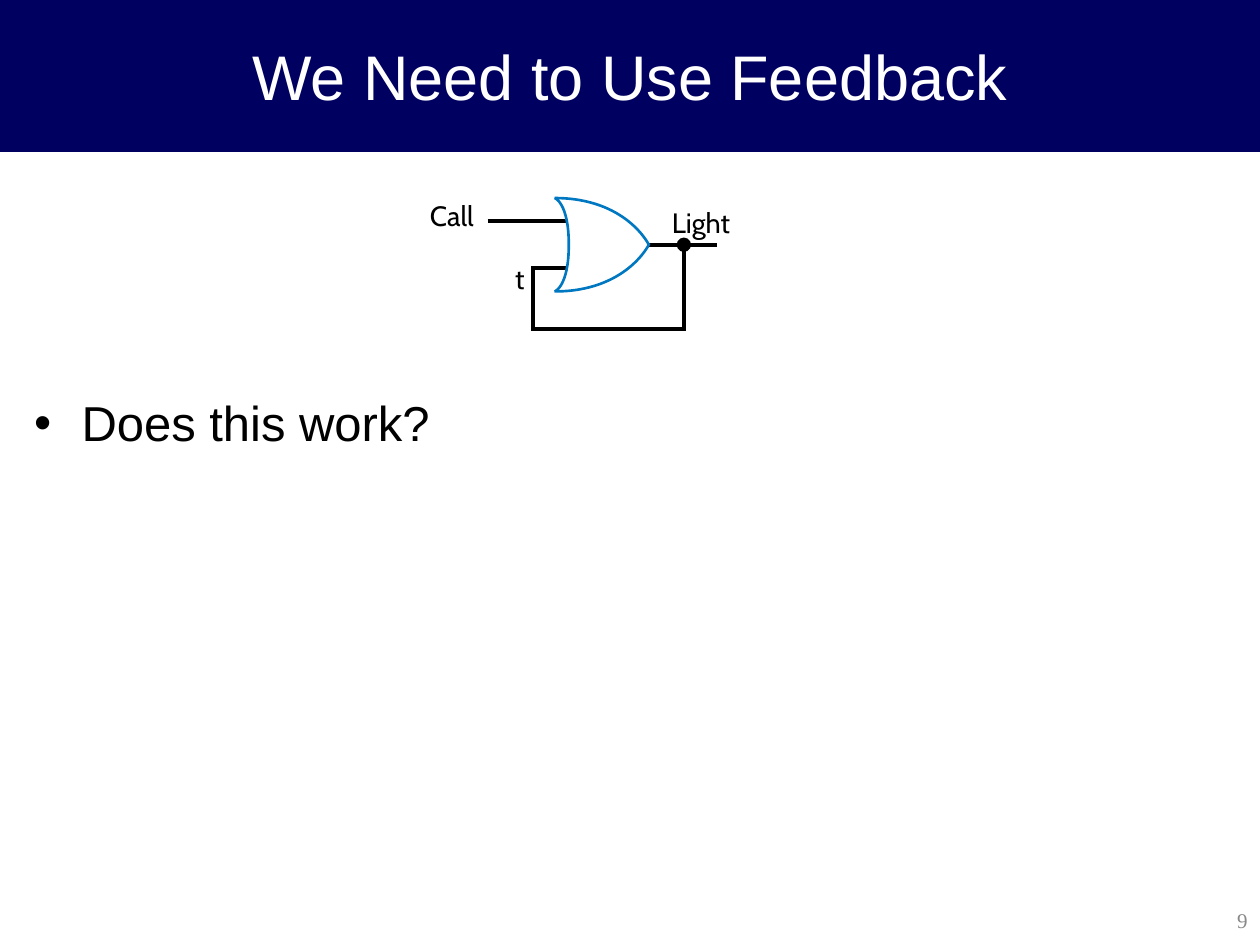
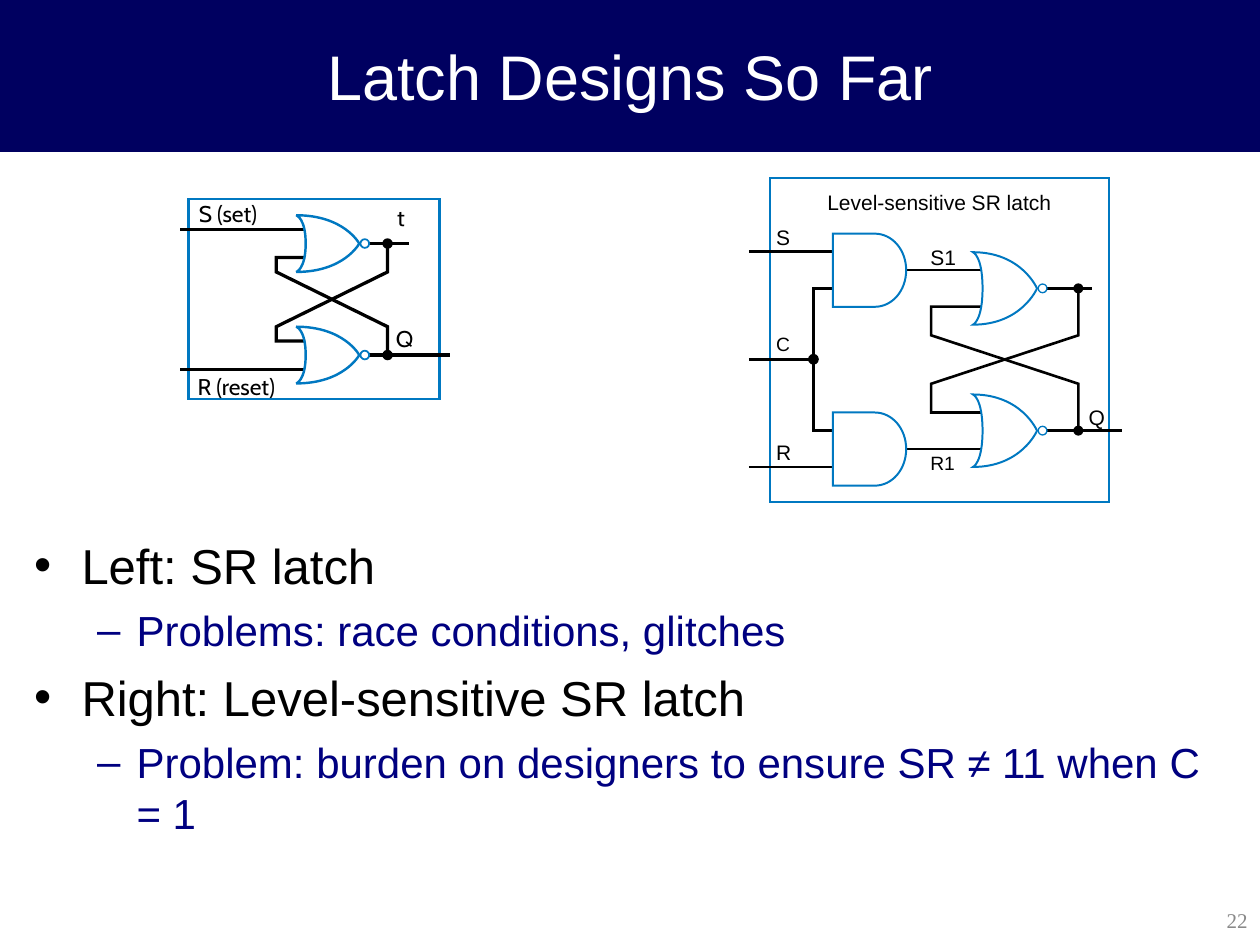
from dataclasses import dataclass

from lxml import etree
from pptx import Presentation
from pptx.dml.color import RGBColor
from pptx.enum.shapes import MSO_CONNECTOR, MSO_SHAPE
from pptx.enum.text import MSO_ANCHOR, MSO_AUTO_SIZE, PP_ALIGN
from pptx.oxml.ns import qn
from pptx.util import Pt

RECTANGLE, OVAL = MSO_SHAPE.RECTANGLE, MSO_SHAPE.OVAL
STRAIGHT = MSO_CONNECTOR.STRAIGHT
MIDDLE = MSO_ANCHOR.MIDDLE
NO_FIT, GROW = MSO_AUTO_SIZE.NONE, MSO_AUTO_SIZE.SHAPE_TO_FIT_TEXT
LEFT, CENTER, RIGHT = PP_ALIGN.LEFT, PP_ALIGN.CENTER, PP_ALIGN.RIGHT
TITLE_ONLY = 5


@dataclass(frozen=True)
class Theme:
    band: str = "000060"
    white: str = "FFFFFF"
    ink: str = "000000"
    navy: str = "000080"
    gate: str = "0078C1"
    grey: str = "898989"
    sans: str = "Arial"
    diagram: str = "Cabin"
    serif: str = "Times New Roman"
    title_size: int = 36
    number_size: int = 12


@dataclass(frozen=True)
class BulletStyle:
    mark: str
    size: int
    color: str
    margin: float
    hang: float
    before: float


@dataclass(frozen=True)
class Latch:
    """Two cross-coupled NOR gates; lengths in points."""
    gate_left: float
    gate_width: float
    gate_height: float
    upper: float          # height of the upper output
    lower: float          # height of the lower output
    feedback_left: float
    node: float           # where the outputs branch
    upper_end: float
    lower_end: float
    stub: float           # gate centre to feedback input
    drop: float           # output to bend
    wire: float
    outline: float
    ring: float           # line of bubbles and nodes
    fill: str | None = None


THEME = Theme()
BULLETS = (
    BulletStyle("•", 28, THEME.ink, 27, 27, 7),
    BulletStyle("–", 24, THEME.navy, 58.5, 22.5, 6),
)
SET_RESET = Latch(169.3, 36, 32.4, 139.2, 202.9, 157.9, 221.5, 233.7, 257,
                  8, 16.2, 1.87, 1.39, 1)
LEVEL = Latch(556, 36.6, 41.4, 164.8, 246.1, 532.1, 616.2, 624.3, 640.9,
              10.4, 26.8, 1.5, 1.13, 0.75, THEME.white)

# Gate outlines in unit coordinates: a start, then segments of one point
# (straight) or three points (curve)
OR_GATE = ((1, 0.5), (
    ((1, 0.5), (0.76, 1), (0, 1)),
    ((0, 1), (0.15, 0.95), (0.15, 0.5)),
    ((0.15, 0.05), (0, 0), (0, 0)),
    ((0.76, 0), (1, 0.5), (1, 0.5)),
))
AND_GATE = ((0, 1), (
    ((0.57, 1),),
    ((0.81, 1), (1, 0.78), (1, 0.5)),
    ((1, 0.22), (0.81, 0), (0.57, 0)),
    ((0, 0),),
))


# Paint and text helpers
def rgb(color):
    return RGBColor.from_string(color)


def paint(shape, fill, line, weight):
    shape.shadow.inherit = False
    if fill:
        shape.fill.solid()
        shape.fill.fore_color.rgb = rgb(fill)
    else:
        shape.fill.background()
    shape.line.color.rgb = rgb(line)
    shape.line.width = Pt(weight)
    miter = etree.SubElement(shape.element.spPr.find(qn("a:ln")), qn("a:miter"))
    miter.set("lim", "800000")


def write(para, text, font, size, color, align=LEFT):
    para.alignment = align
    span = para.add_run()
    span.text = text
    span.font.name = font
    span.font.size = Pt(size)
    span.font.color.rgb = rgb(color)


def add_box(page, left, top, width, height):
    return page.shapes.add_textbox(Pt(left), Pt(top), Pt(width), Pt(height))


def label(page, text, left, top, width, size, font=THEME.diagram):
    frame = add_box(page, left, top, width, size * 1.22).text_frame
    frame.margin_left = frame.margin_right = 0
    frame.margin_top = frame.margin_bottom = 0
    frame.word_wrap = False
    frame.auto_size = GROW
    write(frame.paragraphs[0], text, font, size, THEME.ink)


# Lines and shapes
def preset(page, kind, left, top, width, height, fill, line, weight):
    shape = page.shapes.add_shape(kind, Pt(left), Pt(top), Pt(width), Pt(height))
    paint(shape, fill, line, weight)
    return shape


def dot(page, x, y, size, fill=THEME.ink, line=THEME.ink, weight=1):
    preset(page, OVAL, x - size / 2, y - size / 2, size, size, fill, line, weight)


def wire(page, left, right, y, weight):
    line = page.shapes.add_connector(STRAIGHT, Pt(left), Pt(y), Pt(right), Pt(y))
    line.line.color.rgb = rgb(THEME.ink)
    line.line.width = Pt(weight)
    etree.SubElement(line.element.spPr, qn("a:effectLst"))


def outline(page, points, fill, line, weight, close):
    start, *rest = [(Pt(x), Pt(y)) for x, y in points]
    builder = page.shapes.build_freeform(*start)
    builder.add_line_segments(rest, close=close)
    shape = builder.convert_to_shape()
    paint(shape, fill, line, weight)
    return shape


def bent_wire(page, points, weight):
    outline(page, points, None, THEME.ink, weight, close=False)


def gate(page, kind, left, middle, width, height, fill, weight):
    def place(point):
        return left + width * point[0], middle + height * (point[1] - 0.5)

    start, segments = kind
    anchors = [place(start), *(place(segment[-1]) for segment in segments)]
    shape = outline(page, anchors, fill, THEME.gate, weight, close=True)
    # Turn the straight steps into curves where a segment has control points
    steps = list(shape.element.iter(qn("a:lnTo")))
    for step, segment in zip(steps, segments):
        if len(segment) == 1:
            continue
        curve = etree.Element(qn("a:cubicBezTo"))
        for x, y in map(place, segment):
            point = etree.SubElement(curve, qn("a:pt"))
            point.set("x", str(Pt(x) - shape.left))
            point.set("y", str(Pt(y) - shape.top))
        step.getparent().replace(step, curve)


def nor_latch(page, latch):
    tip = latch.gate_left + latch.gate_width
    bubble = 5
    rows = ((latch.upper, latch.lower, 1, latch.upper_end),
            (latch.lower, latch.upper, -1, latch.lower_end))
    for source, target, way, end in rows:
        # Output and its feedback into the other gate
        wire(page, tip + bubble, end, source, latch.wire)
        bent_wire(page, [
            (latch.node, source),
            (latch.node, source + way * latch.drop),
            (latch.feedback_left, target - way * latch.drop),
            (latch.feedback_left, target - way * latch.stub),
            (latch.gate_left + 0.14 * latch.gate_width, target - way * latch.stub),
        ], latch.wire)
    for source, *_ in rows:
        gate(page, OR_GATE, latch.gate_left, source, latch.gate_width,
             latch.gate_height, latch.fill, latch.outline)
        dot(page, tip + 0.7 + bubble / 2, source, bubble, THEME.white,
            THEME.gate, latch.ring)
        dot(page, latch.node, source, 5, weight=latch.ring)


# Slide parts
def add_layout_band(layout, page):
    band = preset(page, RECTANGLE, 0, 0, 720, 86.4, THEME.band, THEME.band, 0.75)
    layout.placeholders[0].element.addprevious(band.element)


def add_title(page, text):
    title = page.shapes.title
    title.left, title.top, title.width, title.height = Pt(0), Pt(0), Pt(720), Pt(86.4)
    frame = title.text_frame
    frame.vertical_anchor = MIDDLE
    frame.auto_size = NO_FIT
    write(frame.paragraphs[0], text, THEME.sans, THEME.title_size, THEME.white, CENTER)


def add_number(page, number):
    frame = add_box(page, 567.4, 511.2, 152.6, 28.8).text_frame
    frame.word_wrap = True
    frame.vertical_anchor = MIDDLE
    write(frame.paragraphs[0], number, THEME.serif, THEME.number_size,
          THEME.grey, RIGHT)


def add_bullets(page, top, items):
    frame = add_box(page, 12.5, top, 695.5, 511.2 - top).text_frame
    frame.word_wrap = True
    for index, (level, text) in enumerate(items):
        style = BULLETS[level]
        para = frame.add_paragraph() if index else frame.paragraphs[0]
        para.level = level
        para.space_before = Pt(style.before)
        write(para, text, THEME.sans, style.size, style.color)
        props = para._p.get_or_add_pPr()
        props.set("marL", str(Pt(style.margin)))
        props.set("indent", str(-Pt(style.hang)))
        etree.SubElement(props, qn("a:buFont")).set("typeface", THEME.sans)
        etree.SubElement(props, qn("a:buChar")).set("char", style.mark)


def add_page(deck, title, number):
    page = deck.slides.add_slide(deck.slide_layouts[TITLE_ONLY])
    add_title(page, title)
    add_number(page, number)
    return page


# Diagrams
def draw_feedback_gate(page):
    output, node = 139.9, 390.8
    wire(page, 278.6, 324, 126.3, 2)
    bent_wire(page, [(324, 153.2), (304.6, 153.2), (304.6, 188), (node, 188),
                     (node, output)], 2)
    wire(page, 370.8, 409.5, output, 2)
    dot(page, node, output, 7.2)
    gate(page, OR_GATE, 317, output, 53.8, 53.4, None, 1.5)
    for text, left, top, width in (("Light", 384, 117.4, 38.2),
                                   ("Call", 245.7, 113.4, 27.4),
                                   ("t", 294.3, 149.5, 5.8)):
        label(page, text, left, top, width, 16)


def draw_set_reset_latch(page):
    preset(page, RECTANGLE, 107.8, 113.9, 143.3, 114, None, THEME.gate, 1.39)
    for y in (131, 211):
        wire(page, 103, 174.2, y, SET_RESET.wire)
    nor_latch(page, SET_RESET)
    for text, left, top, width in (("S (set)", 113.6, 114.1, 36.7),
                                   ("t", 227, 116.6, 5),
                                   ("R (reset)", 113, 213.1, 50.4),
                                   ("Q", 226.2, 185.8, 10)):
        label(page, text, left, top, width, 13)


def draw_level_latch(page):
    preset(page, RECTANGLE, 440, 102, 193.6, 185, None, THEME.gate, 1.13)
    and_left, and_width, clock = 476, 41.8, 464.8
    # Inputs and the clock branch
    for right, y in ((and_left, 143.6), (clock, 205.3), (and_left, 266.9)):
        wire(page, 428, right, y, LEVEL.wire)
    bent_wire(page, [(and_left, LEVEL.lower), (clock, LEVEL.lower),
                     (clock, LEVEL.upper), (and_left, LEVEL.upper)], LEVEL.wire)
    dot(page, clock, 205.3, 5.4, weight=LEVEL.ring)
    # AND gates feeding the NOR pair
    for middle in (154.4, 256.6):
        wire(page, and_left + and_width, 561, middle, LEVEL.wire)
        gate(page, AND_GATE, and_left, middle, and_width, 41.8,
             THEME.white, LEVEL.outline)
    nor_latch(page, LEVEL)
    for text, left, top, width, size in (
            ("Level-sensitive SR latch", 472.8, 108.3, 128.4, 12),
            ("S", 443.5, 128.4, 8.2, 12), ("C", 443.5, 189.8, 8.2, 11),
            ("R", 443.5, 251.1, 9, 12), ("S1", 531.6, 139.8, 15.5, 12),
            ("R1", 531.6, 258, 15, 11), ("Q", 622, 231.4, 9.6, 12)):
        label(page, text, left, top, width, size, THEME.sans)


def main():
    deck = Presentation()
    deck.slide_width, deck.slide_height = Pt(720), Pt(540)

    page = add_page(deck, "We Need to Use Feedback", "9")
    add_layout_band(deck.slide_layouts[TITLE_ONLY], page)
    add_bullets(page, 220.9, [(0, "Does this work?")])
    draw_feedback_gate(page)

    page = add_page(deck, "Latch Designs So Far", "22")
    add_bullets(page, 302.4, [
        (0, "Left: SR latch"),
        (1, "Problems: race conditions, glitches"),
        (0, "Right: Level-sensitive SR latch"),
        (1, "Problem: burden on designers to ensure SR ≠ 11 when C = 1"),
    ])
    draw_level_latch(page)
    draw_set_reset_latch(page)

    deck.save("out.pptx")


if __name__ == "__main__":
    main()
